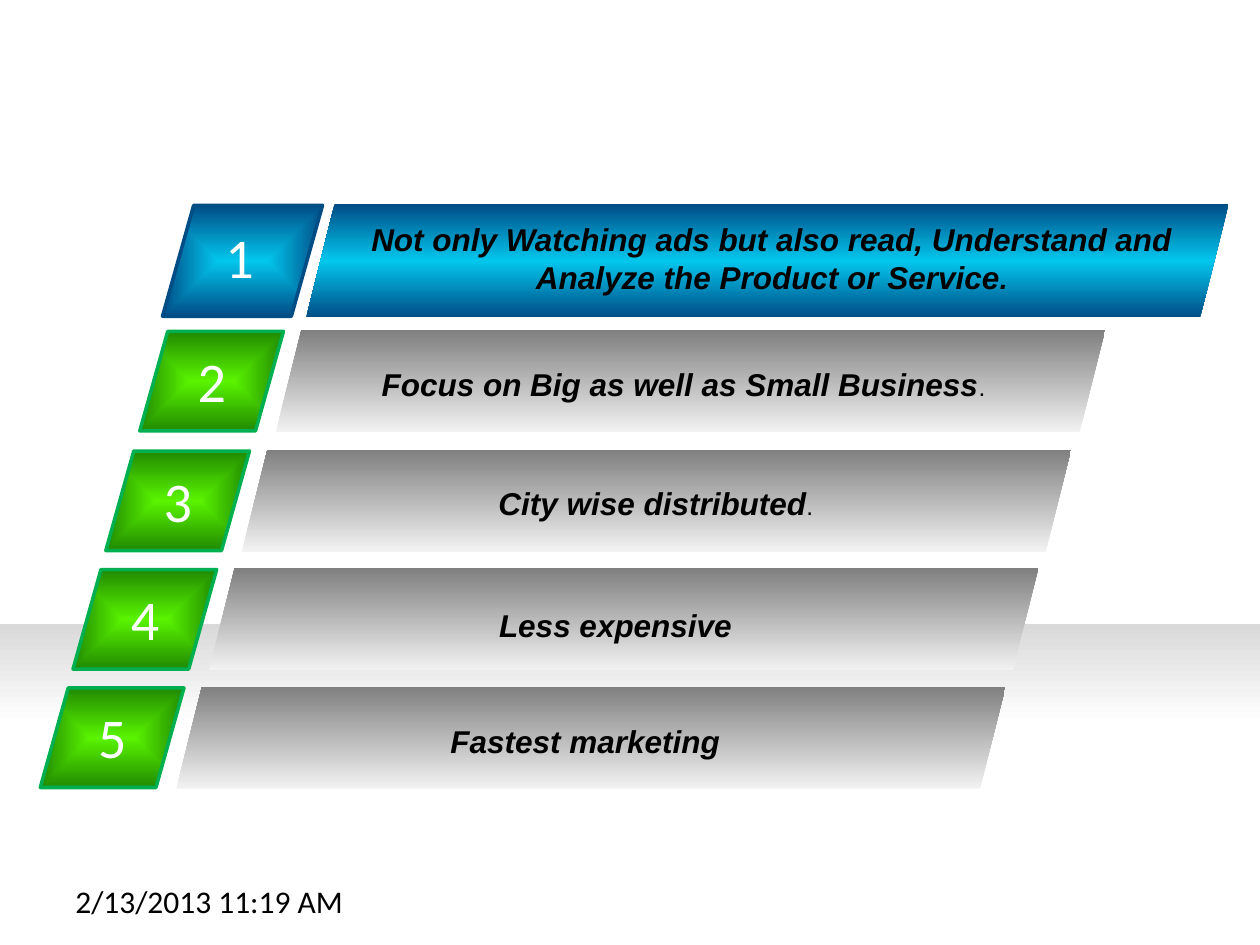
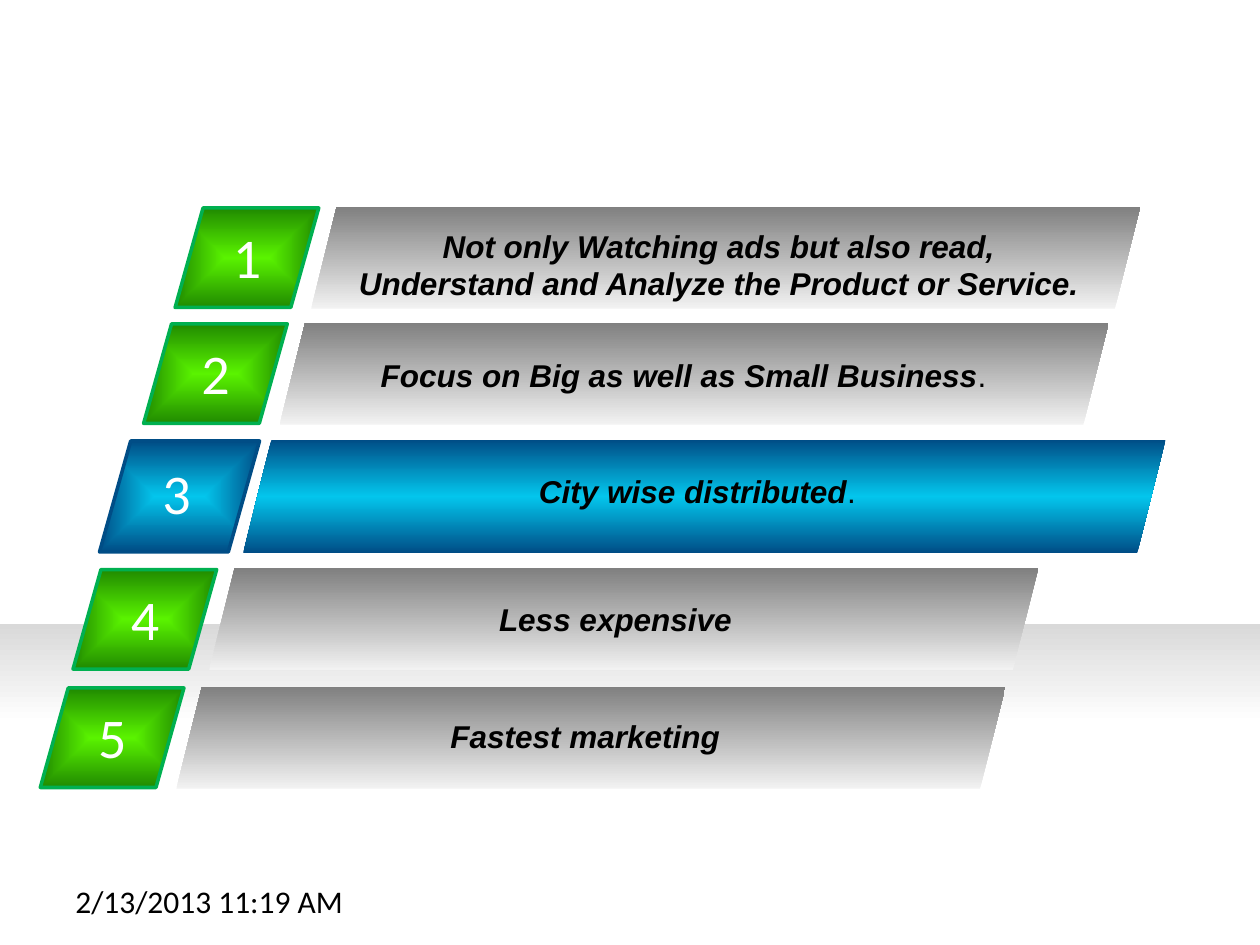
"""Build two slides listing five numbered advantages, one highlighted on each."""
from pptx import Presentation, oxml
from pptx.dml.color import RGBColor
from pptx.enum import shapes, text
from pptx.oxml.ns import nsdecls, qn
from pptx.util import Inches, Pt

COLORS = {
    "white": "FFFFFF", "black": "000000", "mist": "D9D9D9",
    "silver": "F2F2F2", "grey": "808080",
    "lime": "5AF300", "forest": "208A00", "edge": "00B050",
    "sky": "03C6ED", "navy": "004D86",
}

ADVANTAGES = [
    {"wording": "Not only Watching ads but also read, Understand and Analyze the Product or Service",
     "stop": ".", "strong_stop": True},
    {"wording": "Focus on Big as well as Small Business", "stop": ".", "strong_stop": False},
    {"wording": "City wise distributed", "stop": ".", "strong_stop": False},
    {"wording": "Less expensive", "stop": ""},
    {"wording": "Fastest marketing", "stop": ""},
]

ROW_FIELDS = ("bar_left", "bar_top", "left", "top", "width", "stop_size")
SLIDES = [
    {"active": 1, "rows": [
        (2.43, 1.62, 2.75, 1.70, 6.75, 16),
        (2.19, 2.62, 2.47, 2.85, 5.91, 14),
        (1.92, 3.57, 2.25, 3.79, 5.91, 14),
        (1.66, 4.51, 1.93, 4.76, 5.91, 18),
        (1.40, 5.45, 1.69, 5.68, 5.91, 18),
    ]},
    {"active": 3, "rows": [
        (2.47, 1.64, 2.73, 1.75, 5.95, 18),
        (2.22, 2.56, 2.47, 2.78, 5.91, 18),
        (1.93, 3.49, 2.25, 3.70, 6.57, 18),
        (1.66, 4.51, 1.93, 4.71, 5.91, 18),
        (1.40, 5.45, 1.69, 5.64, 5.91, 18),
    ]},
]
DATE = "2/13/2013 11:19 AM"

LOOKS = {
    "normal": {
        "bar": (6.58, 0.81), "bar_stops": [(0, "silver"), (100, "grey")],
        "tile": (1.14, 0.79), "tile_shift": (-1.08, 0.01), "digit_shift": (0.36, 0.07),
        "tile_stops": [(0, "lime"), (100, "forest")], "edge": "edge",
    },
    "active": {
        "bar": (7.32, 0.90), "bar_stops": [(0, "navy"), (50, "sky"), (100, "navy")],
        "tile": (1.27, 0.88), "tile_shift": (-1.14, 0.01), "digit_shift": (0.40, 0.09),
        "tile_stops": [(0, "sky"), (100, "navy")], "edge": "navy",
    },
}
UPWARD = '<a:lin ang="16200000" scaled="0"/>'
FROM_CENTRE = '<a:path path="shape"><a:fillToRect l="50000" t="50000" r="50000" b="50000"/></a:path>'


def add_gradient_shape(parent, kind, box, stops, direction):
    shape = parent.add_shape(kind, *map(Inches, box))
    shape.shadow.inherit = False
    shape.line.fill.background()
    marks = "".join(
        f'<a:gs pos="{pos * 1000}"><a:srgbClr val="{COLORS[name]}"/></a:gs>' for pos, name in stops)
    gradient = oxml.parse_xml(
        f'<a:gradFill {nsdecls("a")} rotWithShape="1"><a:gsLst>{marks}</a:gsLst>{direction}</a:gradFill>')
    shape._element.spPr.find(qn("a:prstGeom")).addnext(gradient)
    return shape


def add_label(parent, box, runs, font, color, align=text.PP_ALIGN.LEFT):
    frame = parent.add_textbox(*map(Inches, box)).text_frame
    frame.word_wrap = True
    paragraph = frame.paragraphs[0]
    paragraph.alignment = align
    for wording, size, strong in runs:
        run = paragraph.add_run()
        run.text = wording
        run.font.name, run.font.size = font, Pt(size)
        run.font.bold = run.font.italic = strong
        run.font.color.rgb = RGBColor.from_string(COLORS[color])


def add_badge(slide, number, bar_left, bar_top, look):
    badge = slide.shapes.add_group_shape().shapes
    left, top = bar_left + look["tile_shift"][0], bar_top + look["tile_shift"][1]
    tile = add_gradient_shape(badge, shapes.MSO_SHAPE.PARALLELOGRAM, (left, top, *look["tile"]),
                              look["tile_stops"], FROM_CENTRE)
    tile.adjustments[0] = 0.281
    tile.line.color.rgb = RGBColor.from_string(COLORS[look["edge"]])
    tile.line.width = Pt(2)
    tile._element.spPr.find(qn("a:ln")).append(oxml.parse_xml(f'<a:round {nsdecls("a")}/>'))
    right, down = look["digit_shift"]
    add_label(badge, (left + right, top + down, 0.45, 0.64),
              [(str(number), 32, False)], "Calibri", "white")


def add_advantage(slide, number, advantage, row, look):
    add_badge(slide, number, row["bar_left"], row["bar_top"], look)
    add_gradient_shape(slide.shapes, shapes.MSO_SHAPE.PARALLELOGRAM,
                       (row["bar_left"], row["bar_top"], *look["bar"]), look["bar_stops"], UPWARD)
    runs = [(advantage["wording"], 18, True)]
    if advantage["stop"]:
        runs.append((advantage["stop"], row["stop_size"], advantage["strong_stop"]))
    add_label(slide.shapes, (row["left"], row["top"], row["width"], 0.4),
              runs, "Arial", "black", text.PP_ALIGN.CENTER)


def add_base(deck):
    slide = deck.slides.add_slide(deck.slide_layouts[6])
    add_gradient_shape(slide.shapes, shapes.MSO_SHAPE.RECTANGLE, (0, 4.95, 10, 2.02),
                       [(0, "white"), (61, "white"), (100, "mist")], UPWARD)
    add_label(slide.shapes, (0.5, 6.95, 2.33, 0.4), [(DATE, 18, False)], "Calibri", "black")
    return slide


def main():
    deck = Presentation()
    deck.slide_width, deck.slide_height = Inches(10), Inches(7.5)
    for content in SLIDES:
        slide = add_base(deck)
        for number, (advantage, places) in enumerate(zip(ADVANTAGES, content["rows"]), 1):
            look = LOOKS["active" if number == content["active"] else "normal"]
            add_advantage(slide, number, advantage, dict(zip(ROW_FIELDS, places)), look)
    deck.save("out.pptx")


if __name__ == "__main__":
    main()
